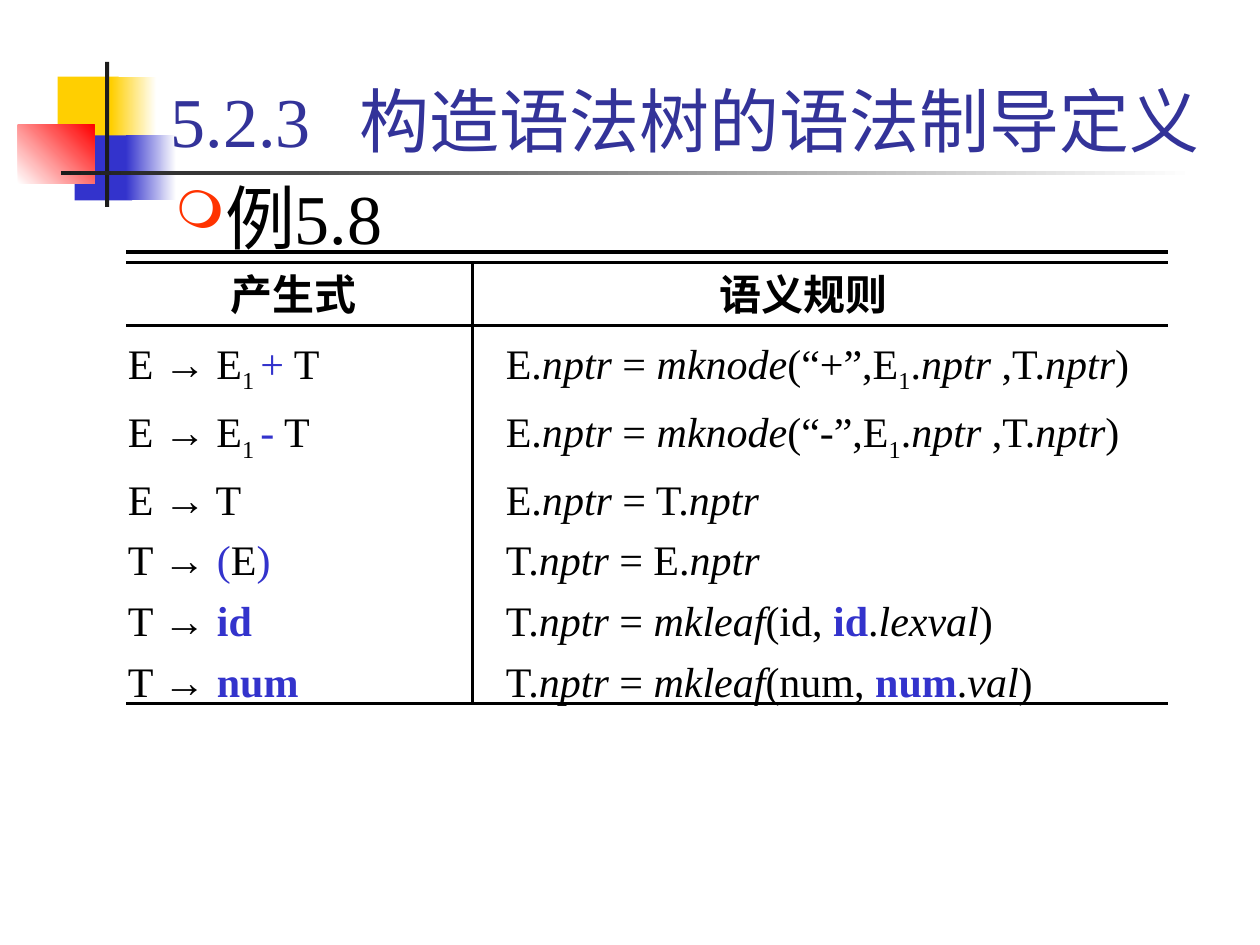
from lxml import etree
from pptx import Presentation
from pptx.dml.color import RGBColor
from pptx.enum.shapes import MSO_CONNECTOR, MSO_SHAPE
from pptx.enum.text import MSO_ANCHOR, PP_ALIGN
from pptx.oxml.ns import qn
from pptx.util import Inches, Pt

RECT, LINE = MSO_SHAPE.RECTANGLE, MSO_CONNECTOR.STRAIGHT
TOP, BOTTOM = MSO_ANCHOR.TOP, MSO_ANCHOR.BOTTOM
LEFT, CENTER = PP_ALIGN.LEFT, PP_ALIGN.CENTER
COLS, ROWS = 120, 90
HUES = {"ink": "000000", "navy": "333399", "blue": "3333CC", "gold": "FFCF01",
        "red": "FF0000", "dark": "1C1C1C", "white": "FFFFFF", "mark": "FF3300"}

# Run kinds: p plain, i italic, s subscript, a arrow, k blue, b bold blue, h bold
KINDS = {"p": {}, "i": {"italic": True}, "s": {"sub": True}, "a": {"face": "Arial"},
         "k": {"hue": "blue"}, "b": {"hue": "blue", "bold": True}, "h": {"bold": True},
         "t": {"hue": "navy"}}


class Deck:
    """Holds the style and the current slide; lengths are grid cells."""

    def __init__(self):
        self.prs = Presentation()
        self.prs.slide_width, self.prs.slide_height = Inches(10), Inches(7.5)
        self.slide = self.prs.slides.add_slide(self.prs.slide_layouts[6])
        self.face = "Times New Roman"

    def x(self, col):
        return round(self.prs.slide_width * col / COLS)

    def y(self, row):
        return round(self.prs.slide_height * row / ROWS)

    def area(self, col, row, wide, high):
        return self.x(col), self.y(row), self.x(wide), self.y(high)

    def rgb(self, hue):
        return RGBColor.from_string(HUES[hue])

    def block(self, area, hue, end=None, angle=0):
        """A rectangle, plain or fading from hue to end."""
        box = self.slide.shapes.add_shape(RECT, *self.area(*area))
        box.shadow.inherit = False
        box.line.fill.background()
        if end is None:
            box.fill.solid()
            box.fill.fore_color.rgb = self.rgb(hue)
            return
        box.fill.gradient()
        box.fill.gradient_angle = angle
        for stop, name, place in zip(box.fill.gradient_stops, (hue, end), (0, 1)):
            stop.color.rgb = self.rgb(name)
            stop.position = place

    def rule(self, col, row, col2, row2):
        line = self.slide.shapes.add_connector(
            LINE, self.x(col), self.y(row), self.x(col2), self.y(row2))
        line.line.color.rgb = self.rgb("ink")
        line.line.width = Pt(2)
        etree.SubElement(line.element.spPr, qn("a:effectLst"))

    def text(self, area, paras, size, align=LEFT, anchor=TOP, before=0, lead=1, tab=None):
        """A text box; each paragraph is a list of (kind, words) runs."""
        box = self.slide.shapes.add_textbox(*self.area(*area))
        frame = box.text_frame
        frame.word_wrap = True
        frame.vertical_anchor = anchor
        for n, runs in enumerate(paras):
            para = frame.add_paragraph() if n else frame.paragraphs[0]
            para.alignment = align
            para.space_before = Pt(before)
            para.line_spacing = lead
            if tab:
                self.stop(para, tab)
            for kind, words in runs:
                self.run(para, words, size, **KINDS[kind])
        return frame

    def run(self, para, words, size, hue="ink", face=None, bold=False, italic=False, sub=False):
        run = para.add_run()
        run.text = words
        font = run.font
        font.name, font.size = face or self.face, Pt(size)
        font.bold, font.italic = bold, italic
        font.color.rgb = self.rgb(hue)
        if sub:
            run._r.get_or_add_rPr().set("baseline", "-25000")

    def stop(self, para, col):
        tabs = etree.SubElement(para._p.get_or_add_pPr(), qn("a:tabLst"))
        etree.SubElement(tabs, qn("a:tab"), pos=str(self.x(col)), algn="l")

    def bullet(self, para, sign, hue, share, col):
        props = para._p.get_or_add_pPr()
        props.set("marL", str(self.x(col)))
        props.set("indent", str(-self.x(col)))
        tint = etree.SubElement(props, qn("a:buClr"))
        etree.SubElement(tint, qn("a:srgbClr"), val=HUES[hue])
        etree.SubElement(props, qn("a:buSzPct"), val=str(share * 1000))
        etree.SubElement(props, qn("a:buChar"), char=sign)


def node(sign):
    """The row for a binary operator."""
    return [("p", "E "), ("a", "→"), ("p", " E"), ("s", "1 "), ("k", sign),
            ("p", " T\tE."), ("i", "nptr"), ("p", " = "), ("i", "mknode"),
            ("p", f"(“{sign}”,E"), ("s", "1"), ("p", "."), ("i", "nptr "),
            ("p", ",T."), ("i", "nptr"), ("p", ")")]


def leaf(name, value):
    """The row for a terminal symbol."""
    return [("p", "T "), ("a", "→ "), ("b", name), ("p", "\tT."), ("i", "nptr"),
            ("p", " = "), ("i", "mkleaf"), ("p", f"({name}, "), ("b", name),
            ("p", "."), ("i", value), ("p", ")")]


def main():
    deck = Deck()
    deck.block((5.5, 7.3, 5.8, 6.2), "gold")
    deck.block((10.6, 7.3, 4.3, 6.2), "gold", "white")
    deck.block((7.1, 12.9, 5.5, 6.2), "blue")
    deck.block((12, 12.9, 4.8, 6.2), "blue", "white")
    deck.block((1.7, 11.9, 7.3, 5.6), "white", "red", 45)
    deck.block((10, 5.9, 0.4, 13.8), "dark")
    deck.block((5.8, 16.3, 108, 0.4), "dark", "white")

    deck.text((15.1, 1, 102.3, 15), [[("t", "5.2.3\t构造语法树的语法制导定义")]],
              40, anchor=BOTTOM, tab=18)
    body = deck.text((15.5, 16, 102, 62), [[("p", "例5.8")]], 40, before=10)
    deck.bullet(body.paragraphs[0], "❍", "mark", 75, 4.5)

    for row in (24, 25, 31, 67):
        deck.rule(12, row, 111.2, row)
    deck.rule(45, 25, 45, 67)

    rows = [
        node("+"),
        node("-"),
        [("p", "E "), ("a", "→"), ("p", " T\tE."), ("i", "nptr"), ("p", " = T."), ("i", "nptr")],
        [("p", "T "), ("a", "→ "), ("k", "("), ("p", "E"), ("k", ")"),
         ("p", "\tT."), ("i", "nptr"), ("p", " = E."), ("i", "nptr")],
        leaf("id", "lexval"),
        leaf("num", "val"),
    ]
    deck.text((11, 31, 101, 36.8), rows, 24, before=3, lead=1.1, tab=36)
    for col, wide, head in ((19, 18, "产生式"), (66, 21, "语义规则")):
        deck.text((col, 25, wide, 6), [[("h", head)]], 24, align=CENTER, before=15)
    deck.prs.save("out.pptx")


if __name__ == "__main__":
    main()
